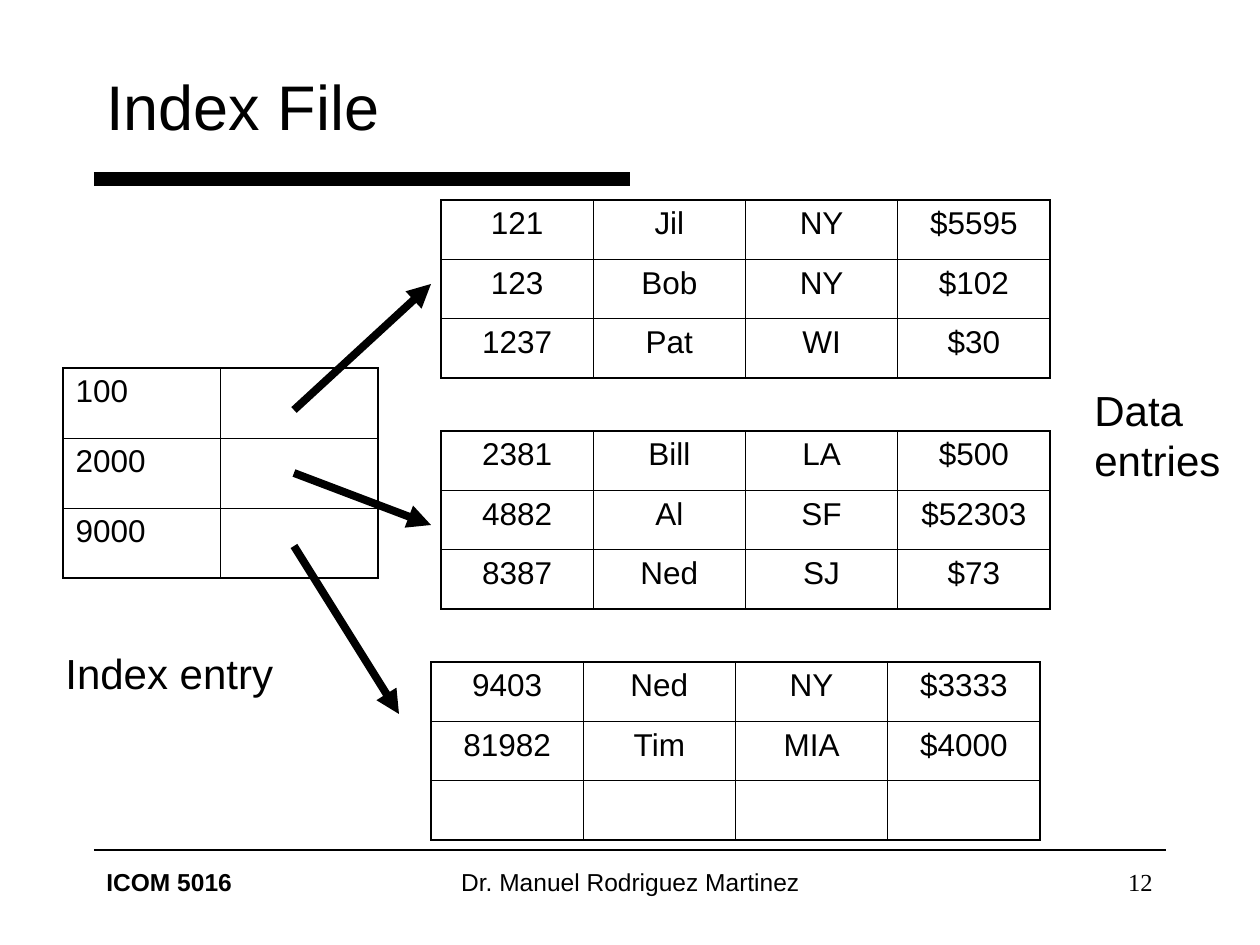
import pptx
import pptx.dml.color
import pptx.enum.shapes
import pptx.enum.text
import pptx.oxml
import pptx.oxml.ns
import pptx.util

EMU_PER_PX = 914400 / 126
BLACK = "000000"
ALIGN = pptx.enum.text.PP_ALIGN
ANCHOR = pptx.enum.text.MSO_ANCHOR
OUTER, INNER = 1.08, 0.45  # table border widths in points

INDEX_ROWS = [["100", ""], ["2000", ""], ["9000", ""]]
DATA_PAGES = [
    (441, 200, [["121", "Jil", "NY", "$5595"],
                ["123", "Bob", "NY", "$102"],
                ["1237", "Pat", "WI", "$30"]]),
    (441, 431, [["2381", "Bill", "LA", "$500"],
                ["4882", "Al", "SF", "$52303"],
                ["8387", "Ned", "SJ", "$73"]]),
    (431, 662, [["9403", "Ned", "NY", "$3333"],
                ["81982", "Tim", "MIA", "$4000"],
                ["", "", "", ""]]),
]
POINTERS = [(294, 410, 431, 284), (294, 473, 431, 525), (294, 546, 399, 714)]


def px(length):
    return pptx.util.Emu(round(length * EMU_PER_PX))


def color(value):
    return pptx.dml.color.RGBColor.from_string(value)


def element(tag, attributes="", content=""):
    namespace = pptx.oxml.ns.nsdecls("a")
    return pptx.oxml.parse_xml(f"<a:{tag} {namespace} {attributes}>{content}</a:{tag}>")


def add_span(para, text, size, font="Arial", bold=False):
    span = para.add_run()
    span.text = text
    span.font.size = pptx.util.Pt(size)
    span.font.name = font
    span.font.bold = bold
    span.font.color.rgb = color(BLACK)


def add_text(page, area, lines, size, align=ALIGN.LEFT, anchor=ANCHOR.TOP,
             wrap=True, **style):
    frame = page.shapes.add_textbox(*map(px, area)).text_frame
    frame.word_wrap = wrap
    frame.vertical_anchor = anchor
    for number, line in enumerate(lines):
        para = frame.add_paragraph() if number else frame.paragraphs[0]
        para.alignment = align
        add_span(para, line, size, **style)


def add_line(page, ends, width, arrow=False):
    line = page.shapes.add_connector(
        pptx.enum.shapes.MSO_CONNECTOR.STRAIGHT, *map(px, ends))
    line.line.color.rgb = color(BLACK)
    line.line.width = pptx.util.Pt(width)
    if arrow:
        line.line._get_or_add_ln().append(element("tailEnd", 'type="triangle"'))
    line._element.spPr.append(element("effectLst"))


def set_borders(cell, left, right, top, bottom):
    properties = cell._tc.get_or_add_tcPr()
    sides = zip(("lnL", "lnR", "lnT", "lnB"), (left, right, top, bottom))
    for place, (tag, is_outer) in enumerate(sides):
        width = pptx.util.Pt(OUTER if is_outer else INNER)
        fill = f'<a:solidFill><a:srgbClr val="{BLACK}"/></a:solidFill>'
        properties.insert(place, element(tag, f'w="{width}"', fill))


def add_grid(page, area, rows, align):
    row_count, column_count = len(rows), len(rows[0])
    table = page.shapes.add_table(row_count, column_count, *map(px, area)).table
    table.first_row = False
    table.horz_banding = False
    for r, row in enumerate(rows):
        for c, text in enumerate(row):
            cell = table.cell(r, c)
            cell.fill.background()
            set_borders(cell, c == 0, c == column_count - 1,
                        r == 0, r == row_count - 1)
            if text:
                para = cell.text_frame.paragraphs[0]
                para.alignment = align
                para.space_before = pptx.util.Pt(4.5)
                add_span(para, text, 18)


def main():
    deck = pptx.Presentation()
    deck.slide_width, deck.slide_height = px(1260), px(945)
    page = deck.slides.add_slide(deck.slide_layouts[6])

    # Rules and footer
    add_line(page, (94, 179, 630, 179), 8)
    add_line(page, (94, 850, 1166, 850), 1)
    add_text(page, (94, 861, 262, 63), ["ICOM 5016"], 14, bold=True)
    add_text(page, (431, 861, 399, 63), ["Dr. Manuel Rodriguez Martinez"], 14,
             ALIGN.CENTER)
    add_text(page, (903, 861, 262, 63), ["12"], 14, ALIGN.RIGHT,
             font="Times New Roman")

    # Title
    add_text(page, (94, 42, 1071, 126), ["Index File"], 36, anchor=ANCHOR.MIDDLE)

    # Data pages and the index that points to them
    for left, top, rows in DATA_PAGES:
        add_grid(page, (left, top, 609, 178), rows, ALIGN.CENTER)
    add_grid(page, (63, 368, 315, 210), INDEX_ROWS, ALIGN.LEFT)
    for ends in POINTERS:
        add_line(page, ends, 4.5, arrow=True)

    # Captions
    add_text(page, (53, 641, 233, 63), ["Index entry"], 24, wrap=False)
    add_text(page, (1082, 378, 151, 113), ["Data", "entries"], 24, wrap=False)

    deck.save("out.pptx")


if __name__ == "__main__":
    main()
